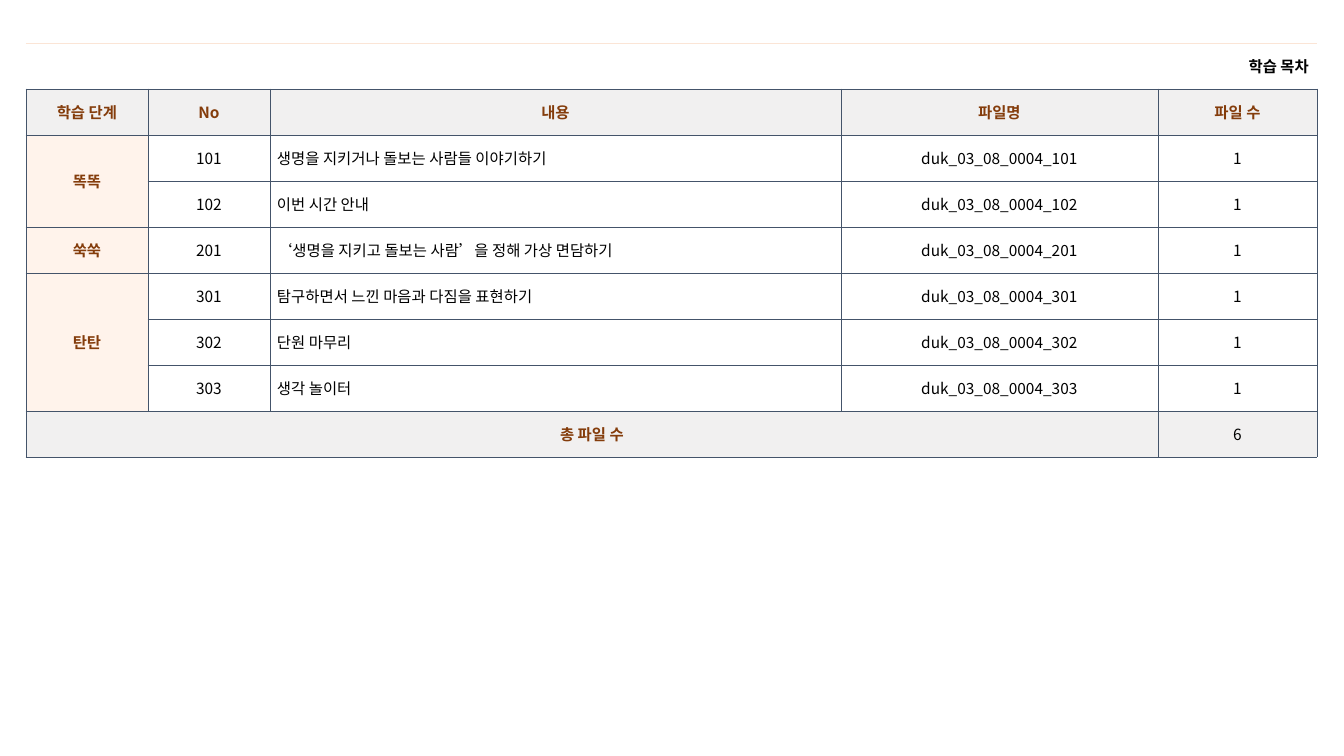
from dataclasses import dataclass

from lxml import etree
from pptx import Presentation
from pptx.dml.color import RGBColor
from pptx.enum.text import MSO_ANCHOR, PP_ALIGN
from pptx.oxml.ns import qn
from pptx.util import Emu, Pt

LEFT, CENTER, RIGHT = PP_ALIGN.LEFT, PP_ALIGN.CENTER, PP_ALIGN.RIGHT
MIDDLE = MSO_ANCHOR.MIDDLE
BLANK_LAYOUT = 6


@dataclass(frozen=True)
class Theme:
    font: str = "Noto Sans CJK KR"
    size: int = 11
    text: str = "000000"
    accent: str = "843C0B"
    header_fill: str = "F1F0F0"
    stage_fill: str = "FFF3EB"
    body_fill: str = "FFFFFF"
    grid: str = "44546A"
    grid_width: float = 0.5
    top_rule: str = "FBE5D6"
    top_rule_width: float = 0.25


THEME = Theme()
TITLE = "학습 목차"
HEADERS = ["학습 단계", "No", "내용", "파일명", "파일 수"]
STAGES = [
    ("똑똑", [(101, "생명을 지키거나 돌보는 사람들 이야기하기"), (102, "이번 시간 안내")]),
    ("쑥쑥", [(201, "‘생명을 지키고 돌보는 사람’을 정해 가상 면담하기")]),
    ("탄탄", [(301, "탐구하면서 느낀 마음과 다짐을 표현하기"),
            (302, "단원 마무리"), (303, "생각 놀이터")]),
]
TOTAL_LABEL = "총 파일 수"
FILE_PREFIX = "duk_03_08_0004_"
COLUMN_WIDTHS = [122, 122, 571, 317, 159]
ROW_HEIGHT = 46


def px(length):
    return Emu(round(length * 914400 / 100.8))


def set_border(cell, side, color, width):
    line = etree.SubElement(cell._tc.get_or_add_tcPr(), qn(f"a:ln{side}"))
    if color is None:
        line.set("w", "0")
        etree.SubElement(line, qn("a:noFill"))
        return
    line.set("w", str(Pt(width)))
    fill = etree.SubElement(line, qn("a:solidFill"))
    etree.SubElement(fill, qn("a:srgbClr")).set("val", color)


def style_cell(cell, is_title):
    for side in "LRTB":
        color, width = THEME.grid, THEME.grid_width
        if is_title and side in "LR":
            color = None
        elif is_title and side == "T":
            color, width = THEME.top_rule, THEME.top_rule_width
        set_border(cell, side, color, width)
    cell.margin_left = cell.margin_right = px(8 if is_title else 7)
    cell.margin_top = cell.margin_bottom = px(5)
    cell.vertical_anchor = MIDDLE
    cell.fill.background()


def fill_cell(cell, fill):
    cell.fill.solid()
    cell.fill.fore_color.rgb = RGBColor.from_string(fill)


def write_cell(cell, text, color=THEME.text, bold=False, align=CENTER):
    para = cell.text_frame.paragraphs[0]
    para.text = text
    para.alignment = align
    font = para.runs[0].font
    font.name = THEME.font
    font.size = Pt(THEME.size)
    font.bold = bold
    font.color.rgb = RGBColor.from_string(color)
    east_asian = etree.Element(qn("a:ea"), typeface=THEME.font)
    font._element.find(qn("a:latin")).addnext(east_asian)


def write_label(cell, text, fill):
    fill_cell(cell, fill)
    write_cell(cell, text, THEME.accent, bold=True)


def write_body(cell, text, fill=THEME.body_fill, align=CENTER):
    fill_cell(cell, fill)
    write_cell(cell, text, align=align)


def add_grid(page, row_count):
    frame = page.shapes.add_table(
        row_count, len(COLUMN_WIDTHS), px(26), px(43),
        px(sum(COLUMN_WIDTHS)), px(ROW_HEIGHT * row_count))
    table = frame.table
    table.first_row = table.horz_banding = False
    for column, width in zip(table.columns, COLUMN_WIDTHS):
        column.width = px(width)
    for index, row in enumerate(table.rows):
        row.height = px(ROW_HEIGHT)
        for cell in row.cells:
            style_cell(cell, is_title=index == 0)
    return table


def write_stage(table, top, stage, lessons):
    bottom = top + len(lessons) - 1
    if bottom > top:
        table.cell(top, 0).merge(table.cell(bottom, 0))
    write_label(table.cell(top, 0), stage, THEME.stage_fill)
    for row, (number, content) in enumerate(lessons, top):
        write_body(table.cell(row, 1), str(number))
        write_body(table.cell(row, 2), content, align=LEFT)
        write_body(table.cell(row, 3), f"{FILE_PREFIX}{number}")
        write_body(table.cell(row, 4), "1")


def add_contents_table(page):
    lesson_count = sum(len(lessons) for _, lessons in STAGES)
    total_row = lesson_count + 2
    last_column = len(HEADERS) - 1
    table = add_grid(page, total_row + 1)

    table.cell(0, 0).merge(table.cell(0, last_column))
    write_cell(table.cell(0, 0), TITLE, bold=True, align=RIGHT)
    for column, header in enumerate(HEADERS):
        write_label(table.cell(1, column), header, THEME.header_fill)

    top = 2
    for stage, lessons in STAGES:
        write_stage(table, top, stage, lessons)
        top += len(lessons)

    table.cell(total_row, 0).merge(table.cell(total_row, last_column - 1))
    write_label(table.cell(total_row, 0), TOTAL_LABEL, THEME.header_fill)
    write_body(table.cell(total_row, last_column), str(lesson_count), THEME.header_fill)


def main():
    deck = Presentation()
    deck.slide_width, deck.slide_height = px(1344), px(756)
    page = deck.slides.add_slide(deck.slide_layouts[BLANK_LAYOUT])
    add_contents_table(page)
    deck.save("out.pptx")


if __name__ == "__main__":
    main()
